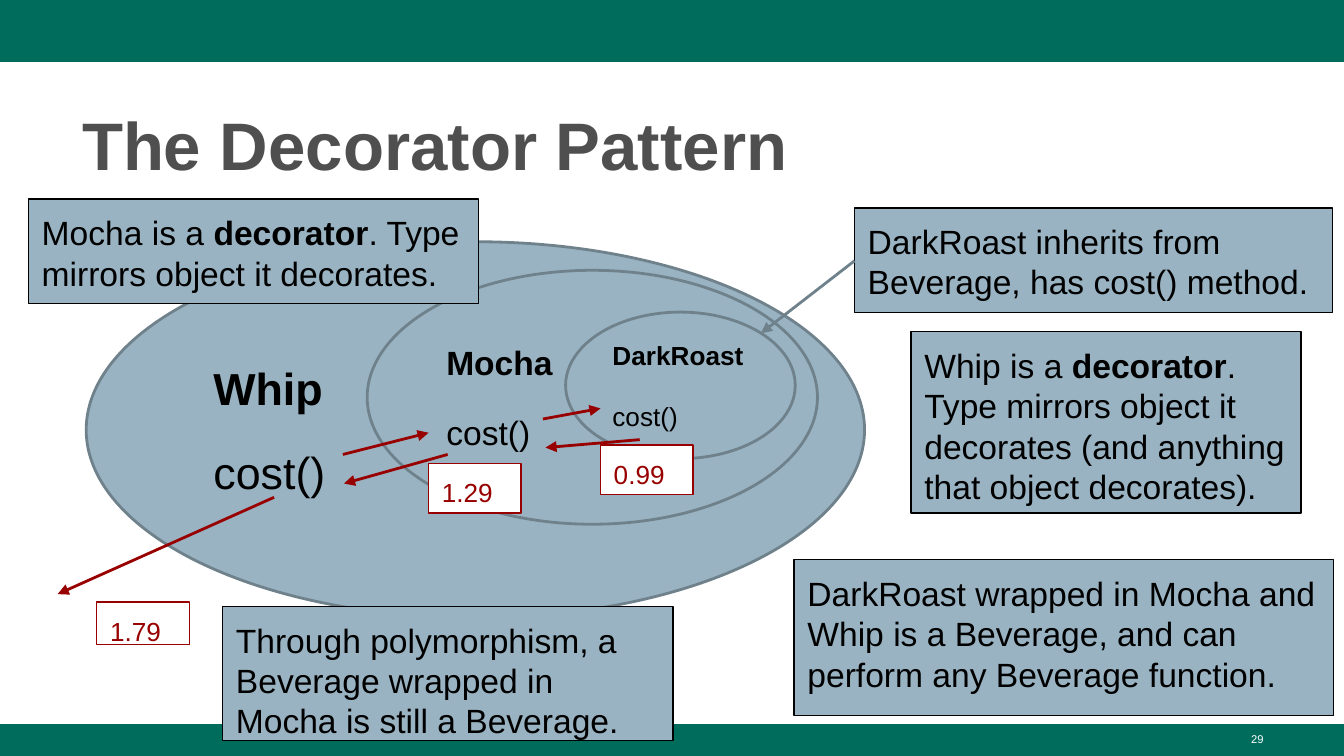
from lxml import etree
from pptx import Presentation
from pptx.dml.color import RGBColor
from pptx.enum import shapes, text
from pptx.oxml.ns import qn
from pptx.util import Cm, Pt

GREEN = RGBColor(0x00, 0x6C, 0x5C)
BLUE = RGBColor(0x99, 0xB3, 0xC2)
SLATE = RGBColor(0x6F, 0x82, 0x8C)
GREY = RGBColor(0x4F, 0x4F, 0x4F)
RED = RGBColor(0x98, 0x00, 0x00)
BLACK = RGBColor(0, 0, 0)
WHITE = RGBColor(0xFF, 0xFF, 0xFF)

FONT = "Arial"
WIDTH, HEIGHT = 25.4, 14.29
INSET = 0.25
RECTANGLE = shapes.MSO_SHAPE.RECTANGLE
OVAL = shapes.MSO_SHAPE.OVAL


def add_box(slide, kind, left, top, width, height, fill, line=None, weight=0.75):
    shape = slide.shapes.add_shape(kind, Cm(left), Cm(top), Cm(width), Cm(height))
    shape.shadow.inherit = False
    shape.fill.solid()
    shape.fill.fore_color.rgb = fill
    if line is None:
        shape.line.fill.background()
    else:
        shape.line.color.rgb = line
        shape.line.width = Pt(weight)
    return shape


def set_frame(shape, anchor=text.MSO_ANCHOR.TOP, vertical_inset=INSET):
    frame = shape.text_frame
    frame.word_wrap = True
    frame.auto_size = text.MSO_AUTO_SIZE.NONE
    frame.vertical_anchor = anchor
    frame.margin_left = frame.margin_right = Cm(INSET)
    frame.margin_top = frame.margin_bottom = Cm(vertical_inset)
    return frame


def format_paragraph(paragraph, size, color, bold=False,
                     align=text.PP_ALIGN.LEFT, spacing=1.0):
    paragraph.alignment = align
    paragraph.line_spacing = spacing
    font = paragraph.font
    font.name, font.size, font.bold = FONT, Pt(size), bold
    font.color.rgb = color


def add_arrow(slide, start, end, color):
    arrow = slide.shapes.add_connector(
        shapes.MSO_CONNECTOR.STRAIGHT, *(Cm(value) for value in (*start, *end)))
    arrow.line.color.rgb = color
    arrow.line.width = Pt(1.5)
    etree.SubElement(arrow.line._get_or_add_ln(), qn("a:tailEnd"), type="triangle")
    etree.SubElement(arrow._element.spPr, qn("a:effectLst"))


def add_bands(slide, width, height):
    """Green bands along the top and bottom edges."""
    bottom = 0.6
    add_box(slide, RECTANGLE, 0, 0, width, 1.17, GREEN)
    add_box(slide, RECTANGLE, 0, height - bottom, width, bottom, GREEN)


def add_page_number(slide, left, top, width, height, number):
    shape = slide.shapes.add_textbox(Cm(left), Cm(top), Cm(width), Cm(height))
    paragraph = set_frame(shape, vertical_inset=0.13).paragraphs[0]
    paragraph.text = number
    format_paragraph(paragraph, 6, WHITE, align=text.PP_ALIGN.RIGHT)


def add_title(slide, left, top, width, height, wording):
    title = slide.shapes.title
    title.left, title.top, title.width, title.height = map(
        Cm, (left, top, width, height))
    paragraph = set_frame(title, vertical_inset=0.13).paragraphs[0]
    paragraph.text = wording
    format_paragraph(paragraph, 36, GREY, bold=True, spacing=1.08)


def add_diagram(slide, left, top, width, height):
    """Nested objects, the calls between them and the prices returned."""
    # Objects: name, text size, offset and size
    for name, size, x, y, w, h in (
            ("Whip", 24, 0, 0, width, height),
            ("Mocha", 18, 5.31, 0.54, 8.51, 4.8),
            ("DarkRoast", 14, 9.06, 1.33, 4.34, 2.77)):
        oval = add_box(slide, OVAL, left + x, top + y, w, h, BLUE, SLATE, 1.5)
        frame = set_frame(oval, text.MSO_ANCHOR.MIDDLE)
        heading, method = frame.paragraphs[0], frame.add_paragraph()
        heading.text, method.text = name, "cost()"
        format_paragraph(heading, size, BLACK, bold=True)
        format_paragraph(method, size, BLACK)
        method.space_before = Pt(16)

    # Calls inward, then returns outward
    for x1, y1, x2, y2 in (
            (4.85, 4.02, 6.47, 3.61),
            (8.63, 3.35, 9.72, 3.15),
            (10.46, 3.74, 8.68, 3.89),
            (6.83, 4.02, 4.87, 4.57),
            (3.55, 4.83, -0.54, 6.66)):
        add_arrow(slide, (left + x1, top + y1), (left + x2, top + y2), RED)

    # Prices
    for price, x, y, h in (("0.99", 9.72, 3.84, 0.94),
                           ("1.29", 6.47, 4.19, 0.94),
                           ("1.79", 0.2, 6.81, 0.81)):
        box = add_box(slide, RECTANGLE, left + x, top + y, 1.75, h, WHITE, RED)
        paragraph = set_frame(box).paragraphs[0]
        paragraph.text = price
        format_paragraph(paragraph, 14, RED)


def add_note(slide, left, top, width, height, wording):
    """Boxed remark; words between asterisks are bold."""
    box = add_box(slide, RECTANGLE, left, top, width, height, BLUE, BLACK)
    paragraph = set_frame(box).paragraphs[0]
    format_paragraph(paragraph, 18, BLACK)
    for index, part in enumerate(wording.split("*")):
        run = paragraph.add_run()
        run.text = part
        if index % 2:
            run.font.bold = True


def main():
    presentation = Presentation()
    presentation.slide_width, presentation.slide_height = Cm(WIDTH), Cm(HEIGHT)
    slide = presentation.slides.add_slide(presentation.slide_layouts[5])

    add_bands(slide, WIDTH, HEIGHT)
    add_title(slide, 1.3, 1.7, 22.83, 1.85, "The Decorator Pattern")
    add_diagram(slide, 1.63, 4.57, 14.71, 7.11)

    # Remarks around the diagram
    for left, top, width, height, wording in (
            (16.15, 3.93, 9.04, 1.98,
             "DarkRoast inherits from Beverage, has cost() method."),
            (0.54, 3.76, 8.51, 1.98,
             "Mocha is a *decorator*. Type mirrors object it decorates."),
            (4.21, 11.46, 8.51, 2.54,
             "Through polymorphism, a Beverage wrapped in Mocha is still a Beverage."),
            (17.22, 6.27, 7.37, 3.43,
             "Whip is a *decorator*. Type mirrors object it decorates "
             "(and anything that object decorates)."),
            (15.01, 10.58, 10.19, 2.95,
             "DarkRoast wrapped in Mocha and Whip is a Beverage, "
             "and can perform any Beverage function.")):
        add_note(slide, left, top, width, height, wording)
    add_arrow(slide, (16.15, 4.93), (14.38, 6.3), SLATE)

    add_page_number(slide, 18.21, 13.72, 5.92, 0.58, "29")
    presentation.save("out.pptx")


if __name__ == "__main__":
    main()
